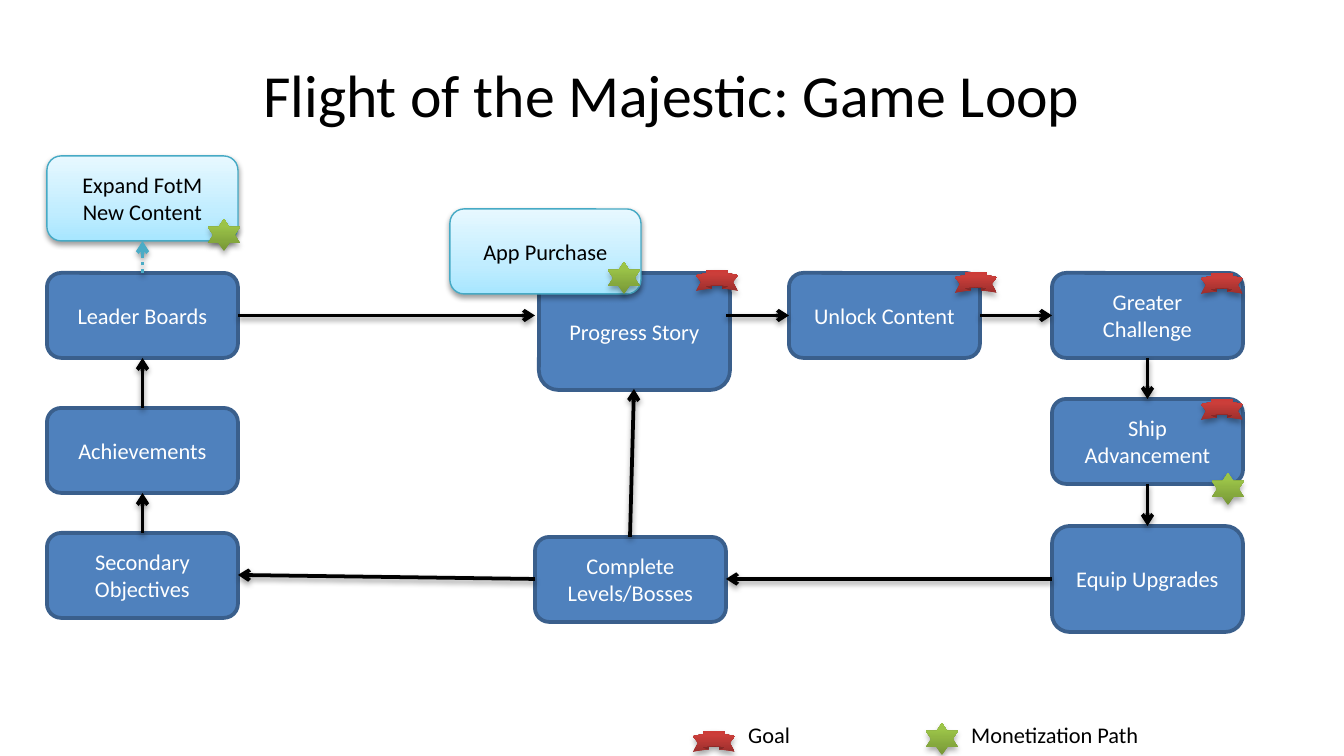
import pptx
import pptx.util
import pptx.dml.color
import pptx.enum.dml
import pptx.enum.shapes
import pptx.enum.text
import pptx.oxml
import pptx.oxml.ns

EMU_PER_PIXEL = 914400 / 134.4
SHAPES = pptx.enum.shapes.MSO_SHAPE
ALIGN = pptx.enum.text.PP_ALIGN
ANCHOR = pptx.enum.text.MSO_ANCHOR

COLORS = {
    "black": "000000",
    "white": "FFFFFF",
    "step": "4F81BD",
    "step_edge": "3A5F8C",
    "offer_edge": "46AAC5",
    "expansion": "4BACC6",
}
GRADIENTS = {
    "offer": [(0, "A7E6FF"), (35, "C1EDFF"), (100, "E7F8FF")],
    "goal": [(0, "9C2F2D"), (80, "CB3E3A"), (100, "CE3B37")],
    "money": [(0, "779737"), (80, "9BC348"), (100, "9DC746")],
}

STEP_W, STEP_H = 191, 85
LEFT, MIDDLE, UNLOCK, RIGHT = 47, 535, 789, 1052
TOP = 273
LEFT_CENTER, RIGHT_CENTER = 142.5, 1147.5
TOP_CENTER = TOP + STEP_H / 2

STEPS = [
    ("Ship Advancement", RIGHT, 399, STEP_H),
    ("Equip Upgrades", RIGHT, 526, 106),
    ("Complete Levels/Bosses", MIDDLE, 537, STEP_H),
    ("Secondary Objectives", LEFT, 533, STEP_H),
    ("Achievements", LEFT, 408, STEP_H),
    ("Greater Challenge", RIGHT, TOP, STEP_H),
    ("Progress Story", 539, TOP, 117),
    ("Leader Boards", LEFT, TOP, STEP_H),
    ("Unlock Content", UNLOCK, TOP, STEP_H),
]
ARROWS = [
    (MIDDLE, 579, LEFT + STEP_W, 575),
    (RIGHT, 579, MIDDLE + STEP_W, 579),
    (LEFT_CENTER, 533, LEFT_CENTER, 493),
    (LEFT_CENTER, 408, LEFT_CENTER, TOP + STEP_H),
    (LEFT + STEP_W, TOP_CENTER, MIDDLE, TOP_CENTER),
    (MIDDLE + STEP_W, TOP_CENTER, UNLOCK, TOP_CENTER),
    (UNLOCK + STEP_W, TOP_CENTER, RIGHT, TOP_CENTER),
    (RIGHT_CENTER, TOP + STEP_H, RIGHT_CENTER, 399),
    (RIGHT_CENTER, 484, RIGHT_CENTER, 526),
    (630, 537, 634, 389),
]
GOALS = [(696, 270), (955, 272), (1201, 273), (1201, 399), (693, 731)]
MONEY = [(1212, 473), (926, 723), (208, 219), (608, 262)]


def px(*lengths):
    return [pptx.util.Emu(round(length * EMU_PER_PIXEL)) for length in lengths]


def rgb(name):
    return pptx.dml.color.RGBColor.from_string(COLORS[name])


def element(markup):
    return pptx.oxml.parse_xml(
        markup.replace(" ", " " + pptx.oxml.ns.nsdecls("a") + " ", 1))


def add_shadow(item, alpha, distance):
    properties = item._element.spPr
    for effects in properties.findall(pptx.oxml.ns.qn("a:effectLst")):
        properties.remove(effects)
    properties.append(element(
        f'<a:effectLst ><a:outerShdw blurRad="{pptx.util.Pt(3.1)}" '
        f'dist="{pptx.util.Pt(distance)}" dir="5400000" rotWithShape="0">'
        f'<a:srgbClr val="{COLORS["black"]}"><a:alpha val="{alpha * 1000}"/>'
        '</a:srgbClr></a:outerShdw></a:effectLst>'))


def fill_gradient(shape, name):
    shape.fill.gradient()
    shape.fill.gradient_angle = 90
    stops = shape._element.spPr.find(".//" + pptx.oxml.ns.qn("a:gsLst"))
    for stop in list(stops):
        stops.remove(stop)
    for position, color in GRADIENTS[name]:
        stops.append(element(f'<a:gs pos="{position * 1000}">'
                             f'<a:srgbClr val="{color}"/></a:gs>'))


def write(shape, text, size=12, color="black", align=ALIGN.CENTER,
          anchor=ANCHOR.MIDDLE):
    frame = shape.text_frame
    frame.word_wrap = True
    frame.vertical_anchor = anchor
    frame.text = text
    for paragraph in frame.paragraphs:
        paragraph.alignment = align
        paragraph.font.size = pptx.util.Pt(size)
        for run in paragraph.runs:
            run.font.size = pptx.util.Pt(size)
            run.font.name = "Calibri"
            run.font.color.rgb = rgb(color)


def add_label(slide, text, x, y, w, h, **style):
    write(slide.shapes.add_textbox(*px(x, y, w, h)), text, **style)


def add_box(slide, x, y, height, edge, width):
    box = slide.shapes.add_shape(SHAPES.FLOWCHART_ALTERNATE_PROCESS,
                                 *px(x, y, STEP_W, height))
    box.shadow.inherit = False
    box.line.color.rgb = rgb(edge)
    box.line.width = pptx.util.Pt(width)
    return box


def add_step(slide, text, x, y, height):
    step = add_box(slide, x, y, height, "step_edge", 2)
    step.fill.solid()
    step.fill.fore_color.rgb = rgb("step")
    write(step, text, color="white")


def add_offer(slide, text, x, y):
    offer = add_box(slide, x, y, STEP_H, "offer_edge", 0.75)
    fill_gradient(offer, "offer")
    add_shadow(offer, 38, 1.6)
    write(offer, text)


def add_arrow(slide, x1, y1, x2, y2, color="black", dash=None):
    arrow = slide.shapes.add_connector(
        pptx.enum.shapes.MSO_CONNECTOR.STRAIGHT, *px(x1, y1, x2, y2))
    arrow.line.color.rgb = rgb(color)
    arrow.line.width = pptx.util.Pt(2)
    if dash:
        arrow.line.dash_style = dash
    arrow.line._get_or_add_ln().append(element('<a:tailEnd type="arrow"/>'))
    add_shadow(arrow, 38, 1.6)


def add_badge(slide, kind, preset, x, y, w, h):
    badge = slide.shapes.add_shape(preset, *px(x, y, w, h))
    fill_gradient(badge, kind)
    badge.line.fill.background()
    add_shadow(badge, 35, 1.8)


def main():
    deck = pptx.Presentation()
    deck.slide_width, deck.slide_height = px(1344, 756)
    slide = deck.slides.add_slide(deck.slide_layouts[6])

    add_label(slide, "Flight of the Majestic: Game Loop", 67, 31, 1210, 126,
              size=32)
    for step in STEPS:
        add_step(slide, *step)
    add_offer(slide, "Expand FotM\nNew Content", LEFT, 156)
    for arrow in ARROWS:
        add_arrow(slide, *arrow)
    add_arrow(slide, LEFT_CENTER, TOP, LEFT_CENTER, 241, color="expansion",
              dash=pptx.enum.dml.MSO_LINE.ROUND_DOT)
    add_offer(slide, "App Purchase", 450, 209)
    for goal in GOALS:
        add_badge(slide, "goal", SHAPES.CURVED_UP_RIBBON, *goal, 42, 21)
    for money in MONEY:
        add_badge(slide, "money", SHAPES.STAR_6_POINT, *money, 32, 32)
    for text, x, w in [("Goal", 735, 161), ("Monetization Path", 958, 262)]:
        add_label(slide, text, x, 715, w, 41, align=ALIGN.LEFT,
                  anchor=ANCHOR.TOP)
    deck.save("out.pptx")


main()
